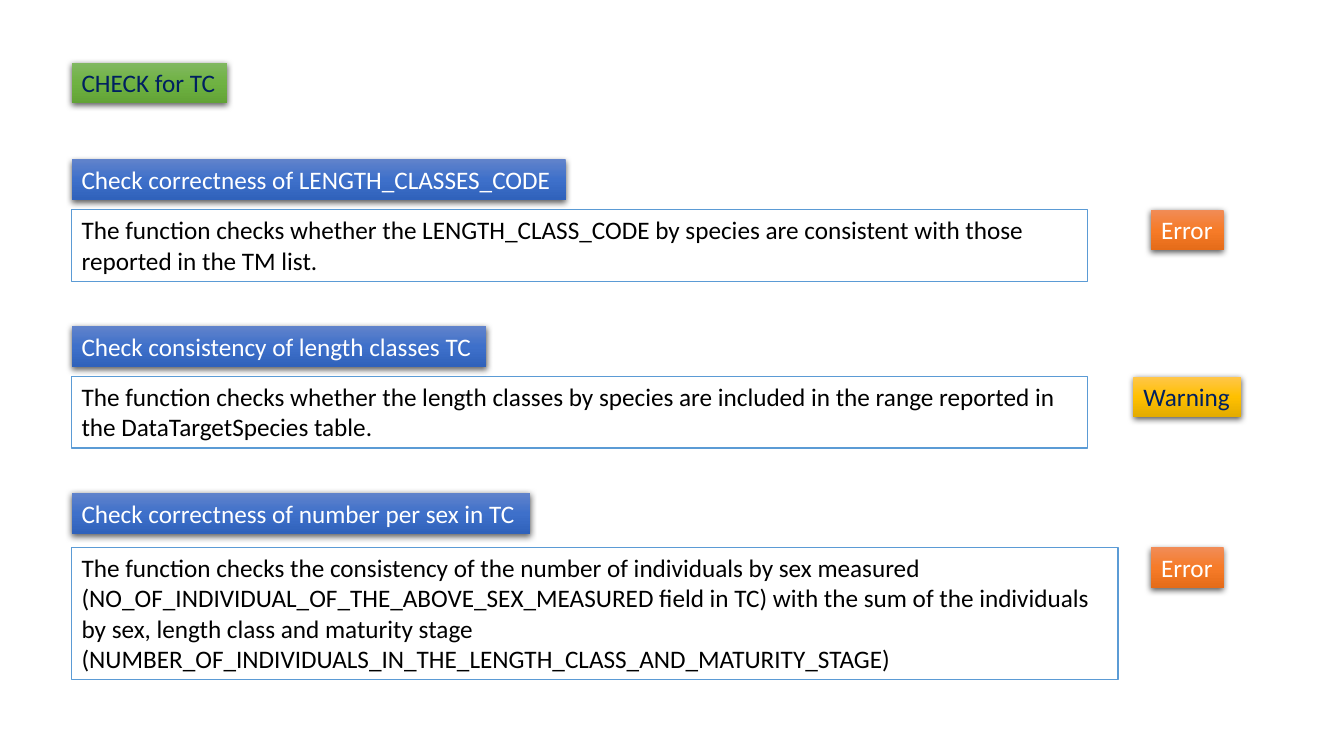
from dataclasses import dataclass

from lxml.etree import SubElement
from pptx import Presentation
from pptx.dml.color import RGBColor
from pptx.enum.shapes import MSO_SHAPE
from pptx.enum.text import MSO_ANCHOR, MSO_AUTO_SIZE, PP_ALIGN
from pptx.oxml.ns import qn
from pptx.shapes.autoshape import Shape
from pptx.slide import Slide
from pptx.util import Emu, Inches, Pt

SLIDE_W, SLIDE_H = Inches(13.33), Inches(7.5)


@dataclass(frozen=True)
class TagStyle:
    stops: tuple[str, str, str]
    text: str


@dataclass(frozen=True)
class Theme:
    font: str = "Calibri"
    size: int = 18
    paper: str = "FFFFFF"
    ink: str = "000000"
    outline: str = "5B9BD5"
    shadow: str = "000000"
    title: TagStyle = TagStyle(("81B861", "6FB242", "62A336"), "002060")
    heading: TagStyle = TagStyle(("6183CB", "3E70CA", "3062BB"), "FFFFFF")
    error: TagStyle = TagStyle(("F18C57", "F67B28", "E56C19"), "FFFFFF")
    warning: TagStyle = TagStyle(("FFC64B", "FFC000", "E3AB00"), "002060")


THEME = Theme()


@dataclass(frozen=True)
class Status:
    label: str
    width: float
    style: TagStyle


@dataclass(frozen=True)
class Check:
    heading: str
    heading_w: float
    body: str
    status: Status
    body_w: float = 75.6
    body_h: float = 9.47
    body_drop: float = 6.67


# Lengths are percentages of the slide's width or height.
LEFT = 5.33
TITLE_TOP, TITLE_W = 8.27, 11.55
FIRST_TOP, PITCH = 21.07, 22.07
TAG_H = 5.39
STATUS_CENTRE = 88.35

ERROR = Status("Error", 5.4, THEME.error)
WARNING = Status("Warning", 8.03, THEME.warning)

CHECKS = [
    Check("Check correctness of LENGTH_CLASSES_CODE", 36.75,
          "The function checks whether the LENGTH_CLASS_CODE by species are "
          "consistent with those reported in the TM list.", ERROR),
    Check("Check consistency of length classes TC", 30.83,
          "The function checks whether the length classes by species are included "
          "in the range reported in the DataTargetSpecies table.", WARNING),
    Check("Check correctness of number per sex in TC", 34.13,
          "The function checks the consistency of the number of individuals by sex "
          "measured (NO_OF_INDIVIDUAL_OF_THE_ABOVE_SEX_MEASURED field in TC) with "
          "the sum of the individuals by sex, length class and maturity stage "
          "(NUMBER_OF_INDIVIDUALS_IN_THE_LENGTH_CLASS_AND_MATURITY_STAGE)", ERROR,
          body_w=77.85, body_h=17.47, body_drop=7.2),
]


def across(percent: float) -> Emu:
    return Emu(round(SLIDE_W * percent / 100))


def down(percent: float) -> Emu:
    return Emu(round(SLIDE_H * percent / 100))


def add_box(s: Slide, text: str, left: float, top: float, width: float,
            height: float, color: str, wrap: bool) -> Shape:
    sp = s.shapes.add_shape(MSO_SHAPE.RECTANGLE, across(left), down(top),
                            across(width), down(height))
    sp.shadow.inherit = False
    tf = sp.text_frame
    tf.text = text
    tf.word_wrap = wrap
    tf.auto_size = MSO_AUTO_SIZE.SHAPE_TO_FIT_TEXT
    tf.vertical_anchor = MSO_ANCHOR.TOP
    p = tf.paragraphs[0]
    p.alignment = PP_ALIGN.LEFT
    r = p.runs[0]
    r.font.name = THEME.font
    r.font.size = Pt(THEME.size)
    r.font.color.rgb = RGBColor.from_string(color)
    return sp


def fill_gradient(sp: Shape, stops: tuple[str, str, str]) -> None:
    """Shade the shape from top to bottom through three evenly spaced stops."""
    sp.fill.gradient()
    sp.fill.gradient_angle = 270
    stop_list = sp.element.spPr.find(f".//{qn('a:gsLst')}")
    for old in list(stop_list):
        stop_list.remove(old)
    for i, color in enumerate(stops):
        stop = SubElement(stop_list, qn("a:gs"), pos=str(i * 50000))
        SubElement(stop, qn("a:srgbClr"), val=color)


def add_shadow(sp: Shape) -> None:
    effects = sp.element.spPr.find(qn("a:effectLst"))
    shadow = SubElement(effects, qn("a:outerShdw"), blurRad=str(Pt(4.5)),
                        dist=str(Pt(1.5)), dir="5400000", algn="ctr",
                        rotWithShape="0")
    color = SubElement(shadow, qn("a:srgbClr"), val=THEME.shadow)
    SubElement(color, qn("a:alpha"), val="63000")


def add_tag(s: Slide, text: str, left: float, top: float, width: float,
            style: TagStyle) -> None:
    sp = add_box(s, text, left, top, width, TAG_H, style.text, wrap=False)
    fill_gradient(sp, style.stops)
    sp.line.fill.background()
    add_shadow(sp)


def add_check(s: Slide, check: Check, top: float) -> None:
    add_tag(s, check.heading, LEFT, top, check.heading_w, THEME.heading)
    body_top = top + check.body_drop
    sp = add_box(s, check.body, LEFT, body_top, check.body_w, check.body_h,
                 THEME.ink, wrap=True)
    sp.fill.solid()
    sp.fill.fore_color.rgb = RGBColor.from_string(THEME.paper)
    sp.line.color.rgb = RGBColor.from_string(THEME.outline)
    sp.line.width = Pt(1)
    status = check.status
    add_tag(s, status.label, STATUS_CENTRE - status.width / 2, body_top,
            status.width, status.style)


def main() -> None:
    prs = Presentation()
    prs.slide_width, prs.slide_height = SLIDE_W, SLIDE_H
    s = prs.slides.add_slide(prs.slide_layouts[6])
    add_tag(s, "CHECK for TC", LEFT, TITLE_TOP, TITLE_W, THEME.title)
    for i, check in enumerate(CHECKS):
        add_check(s, check, FIRST_TOP + i * PITCH)
    prs.save("out.pptx")


if __name__ == "__main__":
    main()
